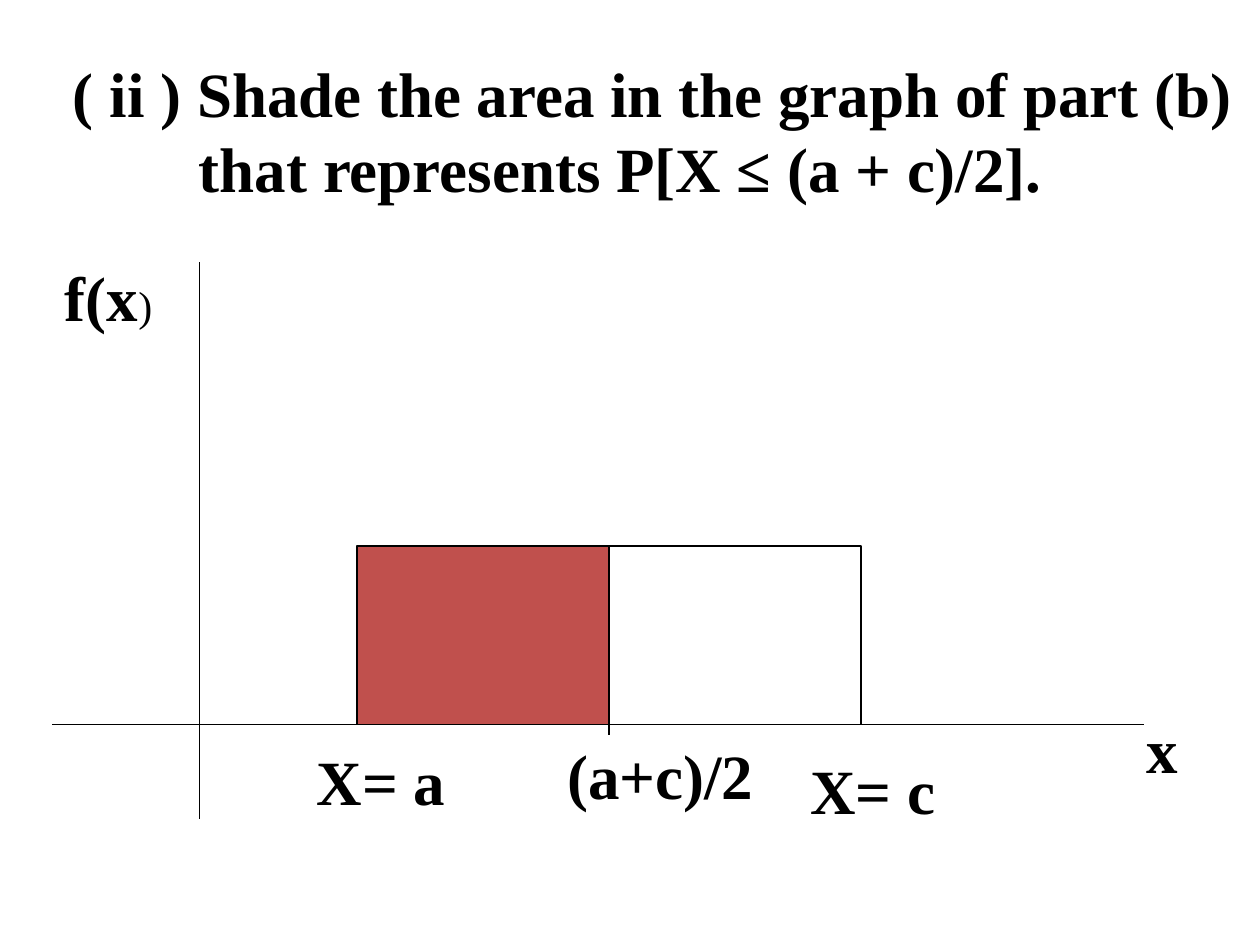
from dataclasses import dataclass

from lxml.etree import SubElement
from pptx import Presentation
from pptx.dml.color import RGBColor as Color
from pptx.enum.shapes import MSO_CONNECTOR as Connector, MSO_SHAPE as Shape
from pptx.enum.text import MSO_ANCHOR as Anchor, MSO_AUTO_SIZE as AutoSize, PP_ALIGN as Align
from pptx.oxml.ns import qn
from pptx.util import Pt


@dataclass(frozen=True)
class Theme:
    ink: Color = Color(0, 0, 0)
    paper: Color = Color(255, 255, 255)
    shade: Color = Color(0xC0, 0x50, 0x4D)
    font: str = "Times New Roman"
    large: float = 36
    small: float = 24
    hairline: float = 0.75
    outline: float = 1


@dataclass(frozen=True)
class Label:
    text: str
    left: float
    top: float
    width: float
    wrap: bool
    small_tail: str = ""


@dataclass(frozen=True)
class Line:
    x1: float
    y1: float
    x2: float
    y2: float


@dataclass(frozen=True)
class Bar:
    left: float
    kind: Shape
    fill: Color
    weight: float


THEME = Theme()

# Graph geometry in points
AXIS_Y, BAR_TOP, BAR_WIDTH = 414, 312, 144
POINT_A = 204
MIDPOINT = POINT_A + BAR_WIDTH
LABEL_HEIGHT = 50.4
TITLE_INDENT = 72

TITLE_LINES = (
    "( ii ) Shade the area in the graph of part (b)",
    "\tthat represents P[X ≤ (a + c)/2].",
)
LINES = (
    Line(114, 150, 114, 468),  # vertical axis
    Line(30, AXIS_Y, 654, AXIS_Y),  # horizontal axis
    Line(MIDPOINT, BAR_TOP, MIDPOINT, AXIS_Y + 6),  # midpoint with its tick
    Line(POINT_A, BAR_TOP, POINT_A, AXIS_Y),  # lower bound
)
LABELS = (
    Label("X= a", 174, 420.5, 88.6, False),
    Label("X= c", 456, 426, 91.4, True),
    Label("f(x", 30, 144, 104.4, True, small_tail=")"),
    Label("x", 648, 402.5, 32.4, False),
    Label("(a+c)/2", 317, 417.6, 121, False),
)
BARS = (
    Bar(POINT_A, Shape.FLOWCHART_PROCESS, THEME.shade, THEME.hairline),
    Bar(MIDPOINT, Shape.RECTANGLE, THEME.paper, THEME.outline),
)


def apply(target, values: dict) -> None:
    for name, value in values.items():
        setattr(target, name, value)


def add_span(para, text: str, size: float, bold: bool) -> None:
    span = para.add_run()
    span.text = text
    apply(span.font, {"name": THEME.font, "size": Pt(size), "bold": bold})
    span.font.color.rgb = THEME.ink


def fill_title(title) -> None:
    apply(title, {"left": Pt(34.5), "top": Pt(27.4), "width": Pt(683.3), "height": Pt(94.3)})
    frame = title.text_frame
    apply(frame, {"word_wrap": False, "auto_size": AutoSize.SHAPE_TO_FIT_TEXT,
                  "vertical_anchor": Anchor.TOP})
    for number, text in enumerate(TITLE_LINES):
        para = frame.add_paragraph() if number else frame.paragraphs[0]
        para.alignment = Align.LEFT
        properties = para._p.get_or_add_pPr()
        properties.set("marL", str(Pt(TITLE_INDENT)))
        properties.set("indent", str(-Pt(TITLE_INDENT)))
        add_span(para, text, THEME.large, True)


def add_line(page, line: Line) -> None:
    connector = page.shapes.add_connector(
        Connector.STRAIGHT, Pt(line.x1), Pt(line.y1), Pt(line.x2), Pt(line.y2))
    apply(connector.line, {"width": Pt(THEME.hairline)})
    connector.line.color.rgb = THEME.ink
    SubElement(connector._element.spPr, qn("a:effectLst"))


def add_label(page, label: Label) -> None:
    box = page.shapes.add_textbox(
        Pt(label.left), Pt(label.top), Pt(label.width), Pt(LABEL_HEIGHT))
    apply(box.text_frame, {"word_wrap": label.wrap, "auto_size": AutoSize.SHAPE_TO_FIT_TEXT})
    para = box.text_frame.paragraphs[0]
    add_span(para, label.text, THEME.large, True)
    if label.small_tail:
        add_span(para, label.small_tail, THEME.small, False)


def add_bar(page, bar: Bar) -> None:
    shape = page.shapes.add_shape(
        bar.kind, Pt(bar.left), Pt(BAR_TOP), Pt(BAR_WIDTH), Pt(AXIS_Y - BAR_TOP))
    shape.shadow.inherit = False
    shape.fill.solid()
    shape.fill.fore_color.rgb = bar.fill
    shape.line.color.rgb = THEME.ink
    shape.line.width = Pt(bar.weight)


def main() -> None:
    deck = Presentation()
    apply(deck, {"slide_width": Pt(720), "slide_height": Pt(540)})
    page = deck.slides.add_slide(deck.slide_layouts[5])
    page.background.fill.solid()
    page.background.fill.fore_color.rgb = THEME.paper

    # Question
    fill_title(page.shapes.title)

    # Axes, bounds and labels, then the density on top
    for draw, items in ((add_line, LINES), (add_label, LABELS), (add_bar, BARS)):
        for item in items:
            draw(page, item)

    deck.save("out.pptx")


if __name__ == "__main__":
    main()
